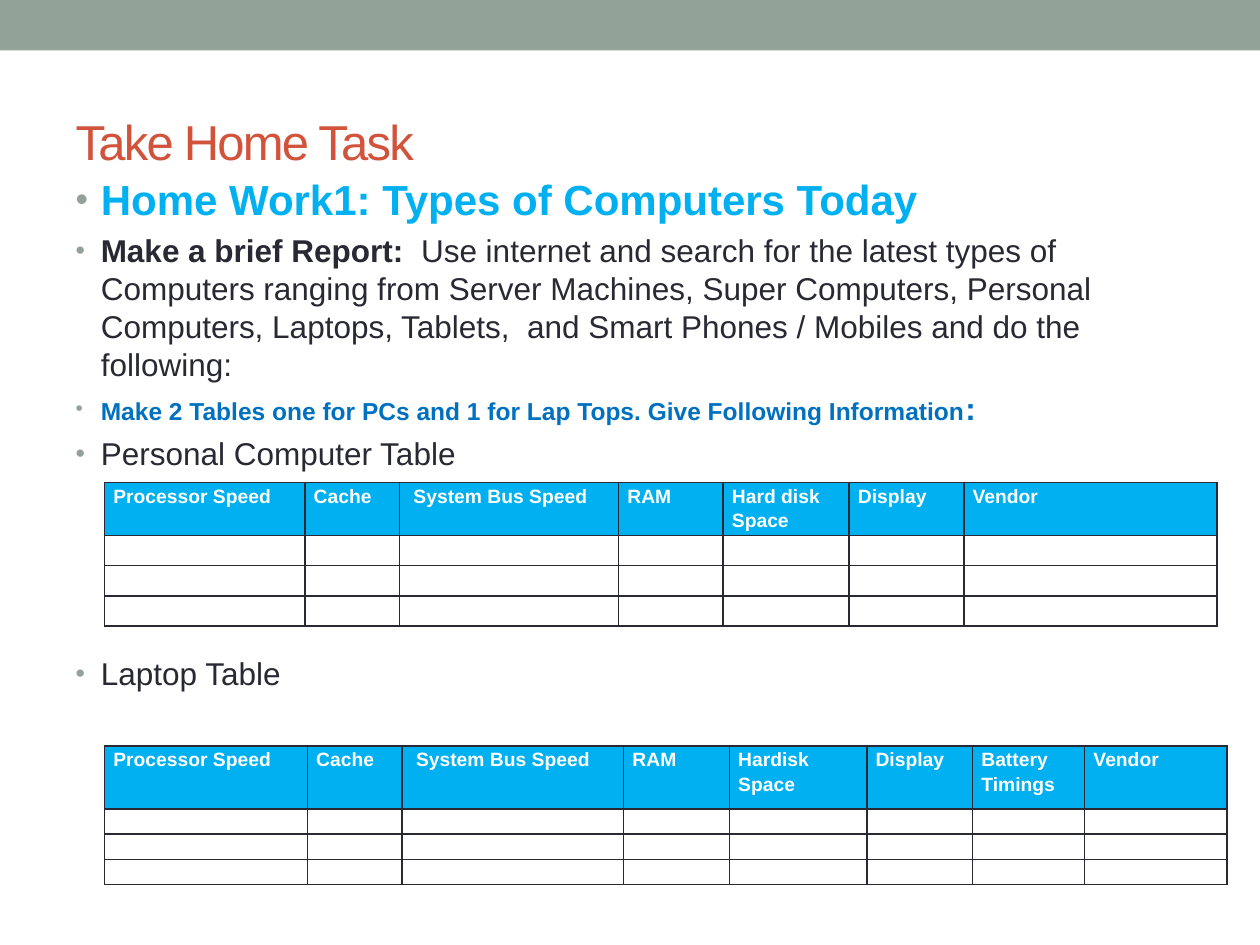
from lxml import etree
from pptx import Presentation
from pptx import util as u
from pptx.dml.color import RGBColor
from pptx.enum import shapes, text
from pptx.oxml import ns

SAGE = RGBColor(0x93, 0xA2, 0x99)
RED = RGBColor(0xD2, 0x53, 0x3C)
SKY = RGBColor(0x00, 0xB0, 0xF0)
BLUE = RGBColor(0x00, 0x70, 0xC0)
INK = RGBColor(0x29, 0x29, 0x34)
WHITE = RGBColor(0xFF, 0xFF, 0xFF)


def add_run(p, content, size=18, color=INK, bold=False, spacing=None):
    r = p.add_run()
    r.text = content
    r.font.name = "Arial"
    r.font.size = u.Pt(size)
    r.font.bold = bold
    r.font.color.rgb = color
    if spacing is not None:
        r._r.get_or_add_rPr().set("spc", str(spacing))


def add_element(parent, tag, **attrs):
    return etree.SubElement(parent, ns.qn(tag), **attrs)


def add_bullet(p):
    pPr = p._p.get_or_add_pPr()
    pPr.set("marL", str(u.Inches(0.2)))
    pPr.set("indent", str(u.Inches(-0.2)))
    add_element(add_element(pPr, "a:buClr"), "a:srgbClr", val=str(SAGE))
    add_element(pPr, "a:buSzPct", val="85000")
    add_element(pPr, "a:buFont", typeface="Arial")
    add_element(pPr, "a:buChar", char="•")


def add_borders(cell):
    tcPr = cell._tc.get_or_add_tcPr()
    for i, side in enumerate(("a:lnL", "a:lnR", "a:lnT", "a:lnB")):
        ln = etree.Element(ns.qn(side), w=str(u.Pt(1)))
        add_element(add_element(ln, "a:solidFill"), "a:srgbClr", val=str(INK))
        tcPr.insert(i, ln)


class Deck:
    def __init__(self):
        self.prs = Presentation()
        self.prs.slide_width = u.Inches(10)
        self.prs.slide_height = u.Inches(7.5)
        self.s = self.prs.slides.add_slide(self.prs.slide_layouts[1])

    def place(self, sp, left, top, width, height):
        sp.left, sp.top = u.Inches(left), u.Inches(top)
        sp.width, sp.height = u.Inches(width), u.Inches(height)
        tf = sp.text_frame
        tf.word_wrap = True
        tf.auto_size = text.MSO_AUTO_SIZE.NONE
        return tf

    def band(self, height, color):
        sp = self.s.shapes.add_shape(
            shapes.MSO_SHAPE.RECTANGLE, 0, 0, self.prs.slide_width, u.Inches(height))
        sp.shadow.inherit = False
        sp.fill.solid()
        sp.fill.fore_color.rgb = color
        sp.line.fill.background()

    def title(self, content):
        tf = self.place(self.s.shapes.title, 0.5, 0.58, 9, 1.08)
        tf.vertical_anchor = text.MSO_ANCHOR.MIDDLE
        p = tf.paragraphs[0]
        p.alignment = text.PP_ALIGN.LEFT
        add_run(p, content, size=28, color=RED, spacing=-100)

    def bullets(self, items):
        tf = self.place(self.s.placeholders[1], 0.5, 1.33, 9, 5.92)
        for i, (before, runs) in enumerate(items):
            p = tf.paragraphs[0] if i == 0 else tf.add_paragraph()
            p.space_before = u.Pt(before)
            p.line_spacing = 1.0
            add_bullet(p)
            for content, style in runs:
                add_run(p, content, **style)

    def table(self, top, headers, widths, head_height, row_height, blank_rows=3):
        heights = [head_height] + [row_height] * blank_rows
        frame = self.s.shapes.add_table(
            len(heights), len(widths), u.Inches(0.83), u.Inches(top),
            u.Inches(sum(widths)), u.Inches(sum(heights)))
        tbl = frame.table
        tbl.first_row = tbl.horz_banding = False
        for col, width in zip(tbl.columns, widths):
            col.width = u.Inches(width)
        for row, height in zip(tbl.rows, heights):
            row.height = u.Inches(height)
        for cell in tbl.iter_cells():
            cell.margin_left = cell.margin_right = u.Inches(0.07)
            cell.margin_top = cell.margin_bottom = 0
            cell.fill.background()
            add_borders(cell)
            cell.text_frame.paragraphs[0]._p.get_or_add_endParaRPr().set("sz", "1000")
        for cell, header in zip(tbl.rows[0].cells, headers):
            cell.fill.solid()
            cell.fill.fore_color.rgb = SKY
            p = cell.text_frame.paragraphs[0]
            p.line_spacing = 1.15
            add_run(p, header, size=11, color=WHITE, bold=True)


def main():
    deck = Deck()
    deck.band(0.4, SAGE)
    deck.title("Take Home Task")
    deck.bullets([
        (0, [("Home Work1: Types of Computers Today",
              dict(size=24, color=SKY, bold=True))]),
        (4, [("Make a brief Report:", dict(bold=True)),
             ("  Use internet and search for the latest types of Computers ranging "
              "from Server Machines, Super Computers, Personal Computers, Laptops, "
              "Tablets,  and Smart Phones / Mobiles and do the following:", {})]),
        (4, [("Make 2 Tables one for PCs and 1 for Lap Tops. Give Following Information",
              dict(size=14, color=BLUE, bold=True)),
             (":", dict(color=BLUE, bold=True))]),
        (4, [("Personal Computer Table", {})]),
        (104, [("Laptop Table", {})]),
    ])
    common = ["Processor Speed", "Cache", " System Bus Speed", "RAM"]
    deck.table(3.83, common + ["Hard disk Space", "Display", "Vendor"],
               [1.59, 0.75, 1.74, 0.83, 1, 0.91, 2.01], 0.42, 0.24)
    deck.table(5.92, common + ["Hardisk Space", "Display", "Battery Timings", "Vendor"],
               [1.61, 0.75, 1.76, 0.84, 1.09, 0.84, 0.89, 1.13], 0.5, 0.2)
    deck.prs.save("out.pptx")


if __name__ == "__main__":
    main()
